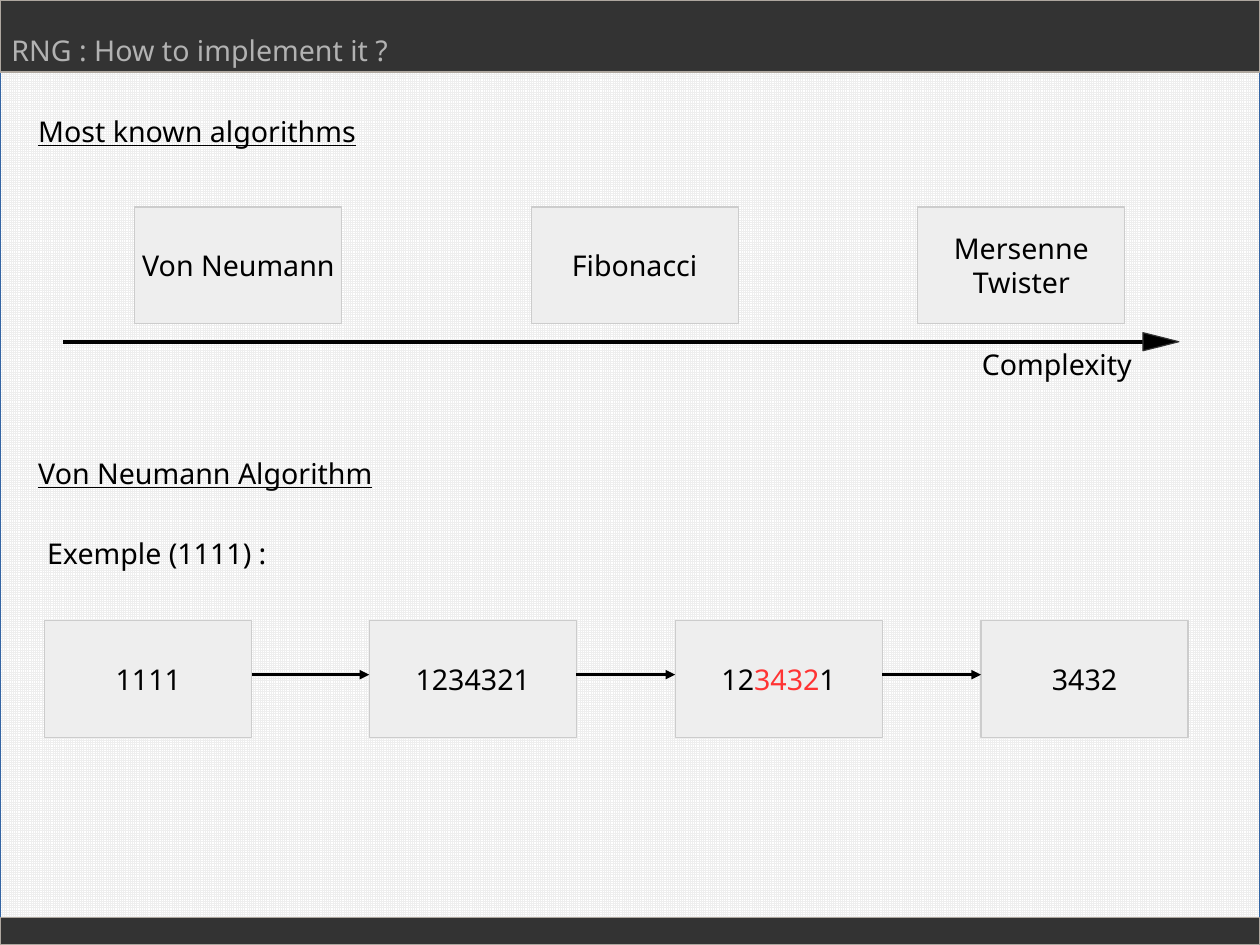
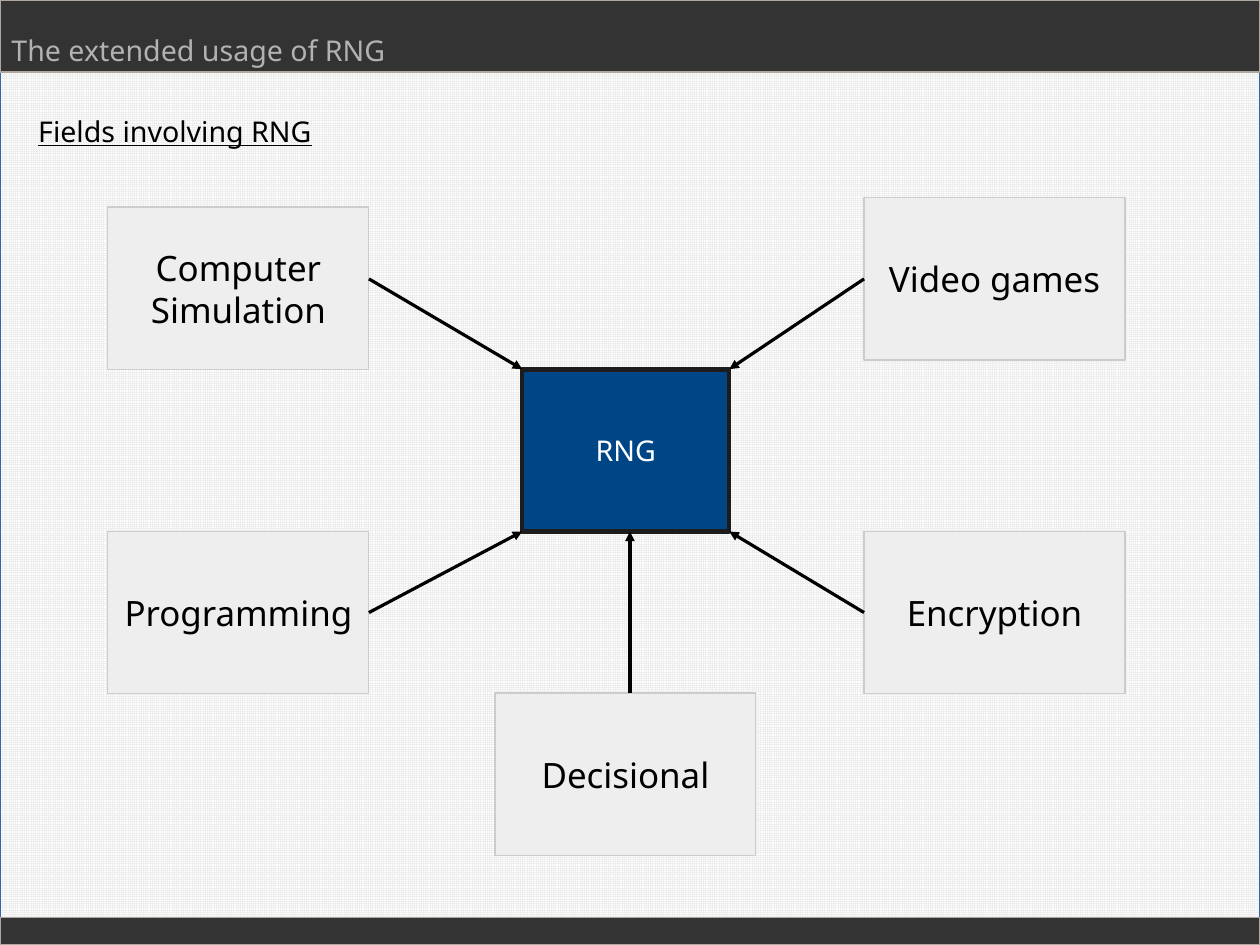
from dataclasses import dataclass
from itertools import pairwise

from lxml import etree
from pptx import Presentation
from pptx.dml.color import RGBColor
from pptx.enum.dml import MSO_PATTERN
from pptx.enum.shapes import MSO_CONNECTOR, MSO_SHAPE
from pptx.enum.text import MSO_ANCHOR, MSO_AUTO_SIZE, PP_ALIGN
from pptx.oxml.ns import qn
from pptx.util import Pt

RECTANGLE = MSO_SHAPE.RECTANGLE
TRIANGLE = MSO_SHAPE.ISOSCELES_TRIANGLE
STRAIGHT = MSO_CONNECTOR.STRAIGHT
SMALL_GRID = MSO_PATTERN.SMALL_GRID
TOP, MIDDLE = MSO_ANCHOR.TOP, MSO_ANCHOR.MIDDLE
LEFT, CENTER, RIGHT = PP_ALIGN.LEFT, PP_ALIGN.CENTER, PP_ALIGN.RIGHT
FIT_SHAPE, FIXED = MSO_AUTO_SIZE.SHAPE_TO_FIT_TEXT, MSO_AUTO_SIZE.NONE
TITLE_ONLY = 5
LEFT_SIDE, RIGHT_SIDE = 1, 3


@dataclass(frozen=True)
class Theme:
    font: str = "Noto Sans"
    body_size: float = 18
    field_size: float = 22
    hairline: float = 0
    heavy_line: float = 2.83
    ink: str = "000000"
    paper: str = "FFFFFF"
    panel: str = "EEEEEE"
    panel_line: str = "CCCCCC"
    band: str = "333333"
    band_line: str = "AEA79F"
    page_line: str = "3465A4"
    title: str = "B2B2B2"
    highlight: str = "FF3333"
    hub: str = "004586"
    hub_line: str = "1C1C1C"


def color(code):
    return RGBColor.from_string(code)


class Deck:
    width, height = 793.7, 595.3
    top_band, bottom_band = 45.4, 17.3
    text_height = 31.7

    def __init__(self, theme):
        self.theme = theme
        self.file = Presentation()
        self.file.slide_width, self.file.slide_height = Pt(self.width), Pt(self.height)
        self.layout = self.file.slide_layouts[TITLE_ONLY]
        self.page = None

    def add_page(self, title):
        first = self.page is None
        self.page = self.file.slides.add_slide(self.layout)
        if first:
            self.add_frame()
        box = self.page.shapes.title
        box.left, box.top, box.width, box.height = map(Pt, (0, 17, 311.8, self.text_height))
        self.set_text(box, title, self.theme.title, align=LEFT, anchor=TOP)
        box.text_frame.auto_size = FIXED

    def add_frame(self):
        """Draw the page ground and bands once and move them to the shared layout."""
        theme = self.theme
        bottom = self.height - self.bottom_band
        ground = self.shape(RECTANGLE, 0, self.top_band, self.width, bottom - self.top_band,
                            theme.paper, theme.page_line)
        ground.fill.patterned()
        ground.fill.pattern = SMALL_GRID
        ground.fill.fore_color.rgb = color(theme.panel)
        ground.fill.back_color.rgb = color(theme.paper)
        bands = [self.shape(RECTANGLE, 0, top, self.width, height, theme.band, theme.band_line)
                 for top, height in ((0, self.top_band), (bottom, self.bottom_band))]
        for index, part in enumerate([ground, *bands]):
            part.element.nvSpPr.cNvPr.set("id", str(100 + index))
            self.layout.shapes.element.insert(2 + index, part.element)

    def shape(self, kind, left, top, width, height, fill, line, line_width=None):
        shape = self.page.shapes.add_shape(kind, Pt(left), Pt(top), Pt(width), Pt(height))
        shape.shadow.inherit = False
        shape.fill.solid()
        shape.fill.fore_color.rgb = color(fill)
        shape.line.color.rgb = color(line)
        shape.line.width = Pt(self.theme.hairline if line_width is None else line_width)
        return shape

    def format_span(self, span, ink, size=None, underline=None):
        span.font.name = self.theme.font
        span.font.size = Pt(size or self.theme.body_size)
        span.font.color.rgb = color(ink)
        span.font.underline = underline

    def set_text(self, box, text, ink, size=None, align=CENTER, anchor=MIDDLE, underline=None):
        frame = box.text_frame
        frame.text = text
        frame.vertical_anchor = anchor
        for paragraph in frame.paragraphs:
            paragraph.alignment = align
            for span in paragraph.runs:
                self.format_span(span, ink, size, underline)

    def add_span(self, box, text, ink):
        span = box.text_frame.paragraphs[-1].add_run()
        span.text = text
        self.format_span(span, ink)

    def label(self, text, left, top, width, align=LEFT, underline=None):
        box = self.page.shapes.add_textbox(Pt(left), Pt(top), Pt(width), Pt(self.text_height))
        box.text_frame.word_wrap = True
        box.text_frame.auto_size = FIT_SHAPE
        self.set_text(box, text, self.theme.ink, align=align, anchor=TOP, underline=underline)

    def heading(self, text, top):
        self.label(text, 17, top, 249.4, underline=True)

    def panel(self, text, left, top, width, height, size=None):
        theme = self.theme
        box = self.shape(RECTANGLE, left, top, width, height, theme.panel, theme.panel_line)
        box.text_frame.word_wrap = False
        self.set_text(box, text, theme.ink, size)
        return box

    def hub(self, text, left, top, width, height):
        theme = self.theme
        box = self.shape(RECTANGLE, left, top, width, height,
                         theme.hub, theme.hub_line, theme.heavy_line)
        frame = box.text_frame
        frame.word_wrap = False
        frame.margin_left = frame.margin_right = Pt(8.6)
        frame.margin_top = frame.margin_bottom = Pt(5)
        self.set_text(box, text, theme.paper)

    def line(self, start, end, width):
        line = self.page.shapes.add_connector(STRAIGHT, *map(Pt, (*start, *end)))
        line.line.color.rgb = color(self.theme.ink)
        line.line.width = Pt(width)
        etree.SubElement(line.element.spPr, qn("a:effectLst"))
        return line

    def arrow(self, start, end):
        arrow = self.line(start, end, self.theme.hairline)
        outline = arrow.element.spPr.find(qn("a:ln"))
        etree.SubElement(outline, qn("a:tailEnd"), type="triangle")
        return arrow

    def axis(self, left, right, middle):
        """Draw a heavy line with a large triangular point on the right."""
        theme = self.theme
        self.line((left, middle), (right, middle), theme.heavy_line)
        breadth, length = 11.4, 22.6
        point = self.shape(TRIANGLE, right + length / 2 - breadth / 2, middle - length / 2,
                           breadth, length, theme.ink, theme.band)
        point.rotation = 90


def add_algorithms(deck):
    deck.add_page("RNG : How to implement it ?")
    width, height = 130.4, 73.6

    deck.heading("Most known algorithms", 68)
    for text, left in (("Von Neumann", 85), ("Fibonacci", 334.6), ("Mersenne\nTwister", 578.2)):
        deck.panel(text, left, 130.4, width, height)
    deck.axis(39.6, 720, 215.3)
    deck.label("Complexity", 607, 215.3, 113, align=RIGHT)

    deck.heading("Von Neumann Algorithm", 283.5)
    deck.label("Exemple (1111) :", 22.6, 334.4, 164.4)
    lefts = [28.2] + [232.6 + 192.7 * index for index in range(3)]
    steps = [deck.panel(text, left, 391, width, height)
             for text, left in zip(("1111", "1234321", "12", "3432"), lefts)]
    deck.add_span(steps[2], "3432", deck.theme.highlight)
    deck.add_span(steps[2], "1", deck.theme.ink)
    for left, following in pairwise(lefts):
        deck.arrow((left + width, 425), (following, 425))


def add_usage(deck):
    deck.add_page("The extended usage of RNG")
    deck.heading("Fields involving RNG", 68)

    height = 102.2
    hub_left, hub_top, hub_width = 329, 232.6, 130.4
    hub_right, hub_bottom = hub_left + hub_width, hub_top + height
    deck.hub("RNG", hub_left, hub_top, hub_width, height)

    width, left, right = 164.4, 68, 544.3
    upper, lower = 175.7, hub_bottom + height / 2

    def field(text, x, y):
        return deck.panel(text, x, y, width, height, deck.theme.field_size)

    field("Computer\nSimulation", left, 130.4)
    programming = field("Programming", left, hub_bottom)
    games = field("Video games", right, upper - height / 2)
    encryption = field("Encryption", right, hub_bottom)
    field("Decisional", 311.8, 436.6)

    deck.arrow((left + width, upper), (hub_left, hub_top))
    deck.arrow((396.8, 436.6), (396.8, hub_bottom))
    for box, side, start, end in (
        (programming, RIGHT_SIDE, (left + width, lower), (hub_left, hub_bottom)),
        (games, LEFT_SIDE, (right, upper), (hub_right, hub_top)),
        (encryption, LEFT_SIDE, (right, lower), (hub_right, hub_bottom)),
    ):
        deck.arrow(start, end).begin_connect(box, side)


def main():
    deck = Deck(Theme())
    add_algorithms(deck)
    add_usage(deck)
    deck.file.save("out.pptx")


if __name__ == "__main__":
    main()
